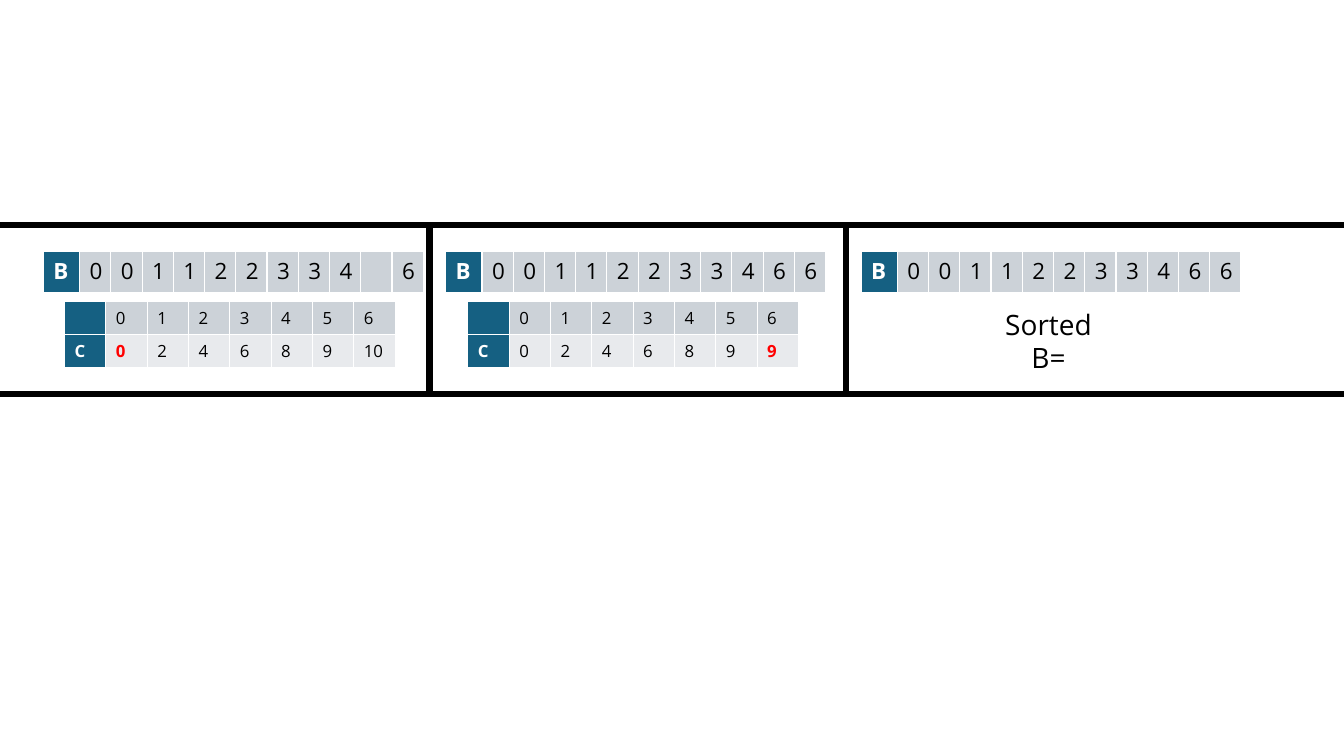
from lxml.etree import SubElement
from pptx import Presentation
from pptx.dml.color import RGBColor
from pptx.enum.shapes import MSO_CONNECTOR
from pptx.enum.text import MSO_ANCHOR, MSO_AUTO_SIZE, PP_ALIGN
from pptx.oxml.ns import qn
from pptx.util import Inches, Pt


def color(value):
    return RGBColor.from_string(value)


class SlideBuilder:
    font_name = "Open Sans"
    black = "000000"
    white = "FFFFFF"
    red = "FF0000"
    label_fill = "156082"
    row_fills = ("CCD2D8", "E8EAED")

    def __init__(self, slide):
        self.slide = slide

    def style_text(self, paragraph, size, text_color, bold=False):
        font = paragraph.font
        font.name = self.font_name
        font.size = Pt(size)
        font.bold = bold
        font.color.rgb = color(text_color)

    def line(self, start_x, start_y, end_x, end_y):
        connector = self.slide.shapes.add_connector(
            MSO_CONNECTOR.STRAIGHT,
            Inches(start_x), Inches(start_y), Inches(end_x), Inches(end_y))
        connector.line.color.rgb = color(self.black)
        connector.line.width = Pt(4.5)
        SubElement(connector._element.spPr, qn("a:effectLst"))

    def border(self, cell):
        properties = cell._tc.get_or_add_tcPr()
        for position, side in enumerate(("a:lnL", "a:lnR", "a:lnT", "a:lnB")):
            edge = SubElement(properties, qn(side), w=str(Pt(1)))
            fill = SubElement(edge, qn("a:solidFill"))
            SubElement(fill, qn("a:srgbClr"), val=self.white)
            properties.insert(position, edge)

    def array_table(self, left, top, column_widths, row_height, rows, size, highlight=None):
        shape = self.slide.shapes.add_table(
            len(rows), len(column_widths), Inches(left), Inches(top),
            Inches(sum(column_widths)), Inches(row_height * len(rows)))
        table = shape.table
        for column, width in zip(table.columns, column_widths):
            column.width = Inches(width)
        for row_index, values in enumerate(rows):
            for column_index, value in enumerate(values):
                cell = table.cell(row_index, column_index)
                is_label = column_index == 0
                is_highlight = (row_index, column_index) == highlight
                cell.fill.solid()
                cell.fill.fore_color.rgb = color(
                    self.label_fill if is_label else self.row_fills[row_index])
                self.border(cell)
                if is_label and row_index == 1:
                    cell.vertical_anchor = MSO_ANCHOR.MIDDLE
                cell.text = value
                paragraph = cell.text_frame.paragraphs[0]
                text_color = self.white if is_label else self.red if is_highlight else self.black
                self.style_text(paragraph, size, text_color, is_label or is_highlight)
                if not value:
                    SubElement(paragraph._p, qn("a:endParaRPr"), sz=str(size * 100))

    def sorted_array(self, left, values):
        self.array_table(left, 2.49, [0.36] + [0.31] * 11, 0.41, [["B", *values]], 16)

    def count_array(self, left, counts, highlighted_column):
        rows = [["", *"0123456"], ["C", *counts]]
        self.array_table(left, 2.99, [0.41] * 8, 0.3, rows, 12, (1, highlighted_column))

    def caption(self, left, top, width, height, text):
        shape = self.slide.shapes.add_textbox(
            Inches(left), Inches(top), Inches(width), Inches(height))
        frame = shape.text_frame
        frame.word_wrap = True
        frame.auto_size = MSO_AUTO_SIZE.SHAPE_TO_FIT_TEXT
        frame.text = text
        paragraph = frame.paragraphs[0]
        paragraph.alignment = PP_ALIGN.CENTER
        self.style_text(paragraph, 20, self.black)


def main():
    presentation = Presentation()
    presentation.slide_width = Inches(13.33)
    presentation.slide_height = Inches(7.5)
    builder = SlideBuilder(presentation.slides.add_slide(presentation.slide_layouts[6]))

    band_top, band_bottom = 2.23, 3.91
    for y in (band_top, band_bottom):
        builder.line(0, y, 13.33, y)
    for x in (4.26, 8.39):
        builder.line(x, band_top, x, band_bottom)

    complete = list("00112233466")
    with_gap = complete[:9] + ["", "6"]
    for left, values in ((0.43, with_gap), (4.42, complete), (8.54, complete)):
        builder.sorted_array(left, values)

    builder.count_array(0.64, ["0", "2", "4", "6", "8", "9", "10"], 1)
    builder.count_array(4.64, ["0", "2", "4", "6", "8", "9", "9"], 7)
    builder.caption(9.71, 3, 1.38, 0.44, "Sorted B=")

    presentation.save("out.pptx")


if __name__ == "__main__":
    main()
